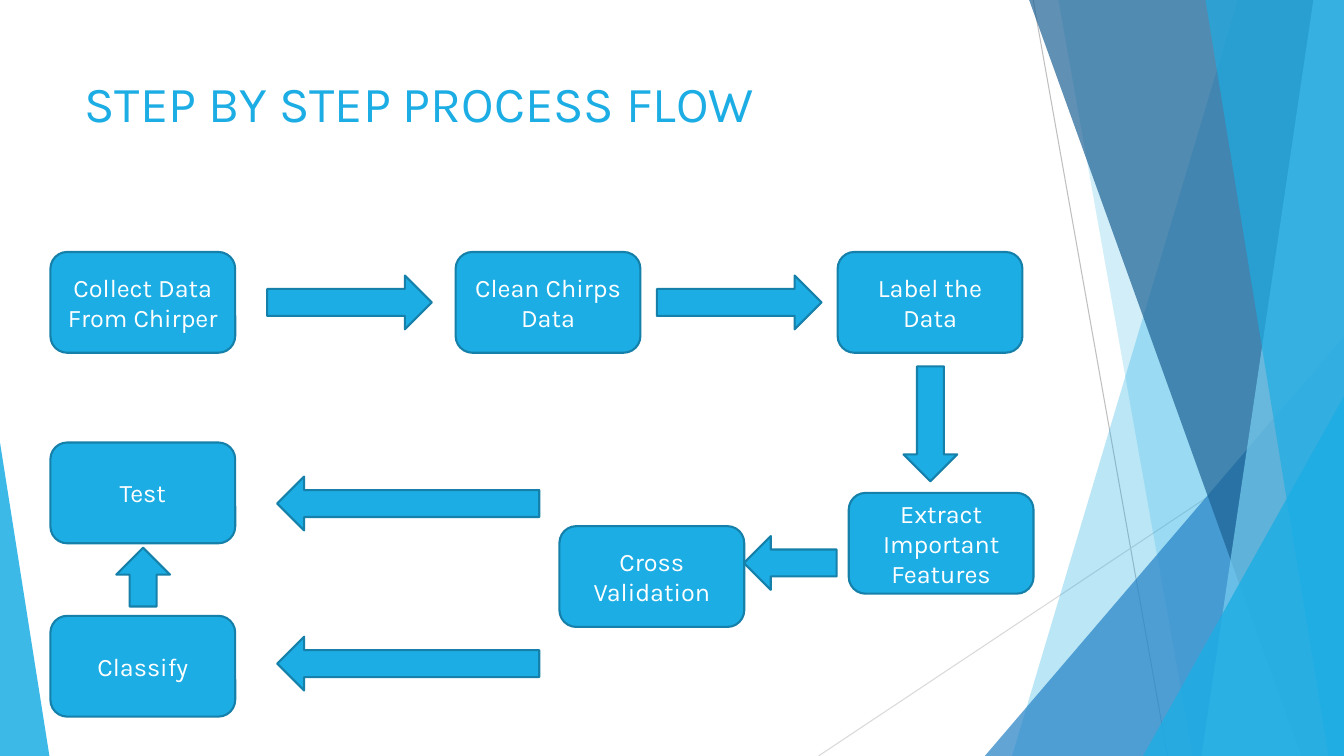
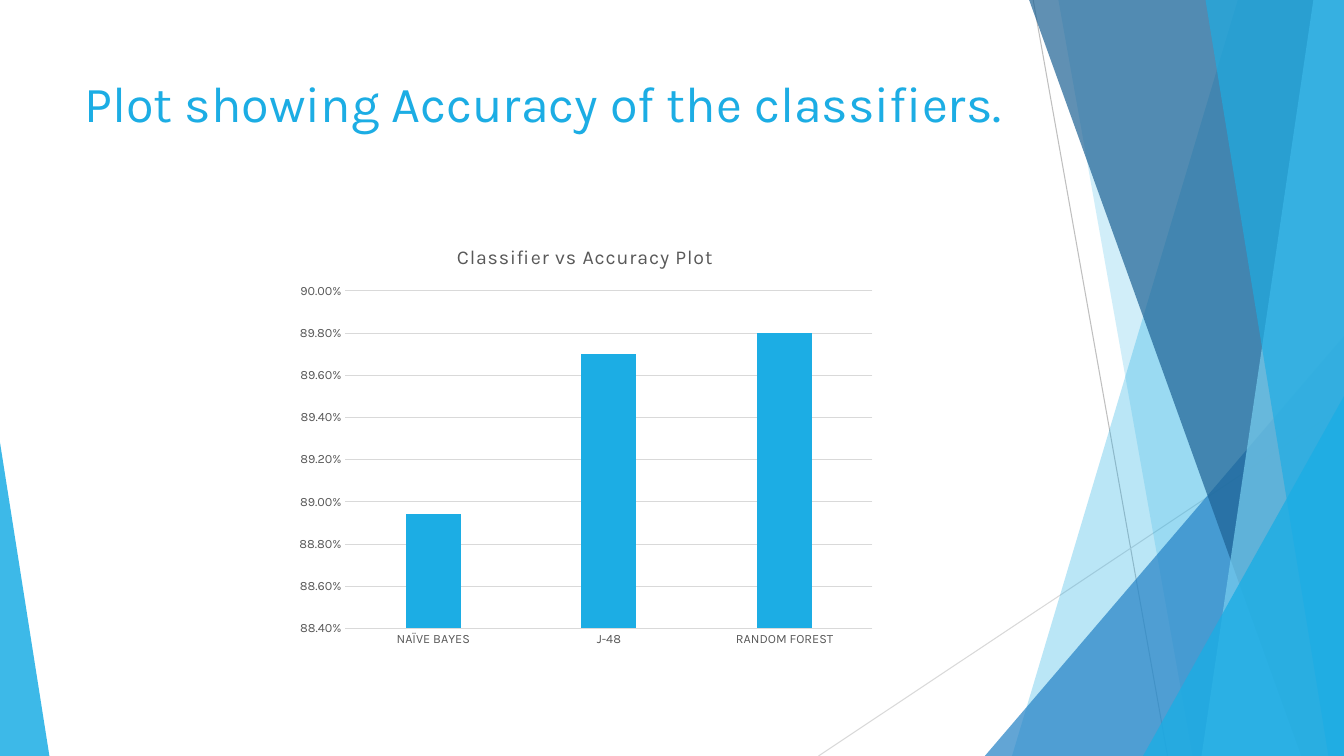
from dataclasses import dataclass

from lxml import etree
from pptx import Presentation
from pptx.chart.data import CategoryChartData
from pptx.dml.color import RGBColor
from pptx.enum.chart import XL_CHART_TYPE, XL_TICK_MARK
from pptx.enum.shapes import MSO_CONNECTOR, MSO_SHAPE
from pptx.enum.text import MSO_ANCHOR, PP_ALIGN
from pptx.oxml import parse_xml
from pptx.oxml.ns import nsdecls, qn
from pptx.util import Emu, Inches, Pt

# Grid: 80 columns by 45 rows of square cells, a sixth of an inch each
COLUMNS, ROWS = 80, 45
CELL = Inches(1) // 6

FONT = "Karla"
COLORS = {
    "accent": "1CADE4",
    "outline": "1580A9",
    "blue": "2683C6",
    "navy": "1D6294",
    "sky": "77CEEF",
    "gray": "BFBFBF",
    "pale": "D9D9D9",
    "text": "595959",
    "white": "FFFFFF",
}


@dataclass(frozen=True)
class Ray:
    start: tuple[float, float]
    end: tuple[float, float]
    color: str


@dataclass(frozen=True)
class Band:
    """Full-height facet from a slanted left edge to the right slide edge."""
    top_column: float
    bottom_column: float
    color: str
    opacity: int


@dataclass(frozen=True)
class Corner:
    """Right triangle that stands on the bottom slide edge."""
    left: float
    right: float
    top: float
    apex: int
    color: str
    opacity: int


@dataclass(frozen=True)
class Step:
    label: str
    column: float
    row: float


@dataclass(frozen=True)
class Arrow:
    """Block arrow given by its center, length and turn."""
    column: float
    row: float
    length: float
    angle: int = 0


RAYS = [
    Ray((61.5, 0), (69.5, ROWS), "gray"),
    Ray((COLUMNS, 24.18), (48.72, ROWS), "pale"),
]
FACETS = [
    Band(73.68, 60.24, "accent", 30),
    Band(63, 71, "accent", 20),
    Corner(58.62, COLUMNS, 20, 1, "blue", 72),
    Band(61.26, 77.46, "navy", 70),
    Band(78.18, 71.52, "sky", 70),
    Band(71.76, 79.08, "accent", 65),
    Corner(68.04, COLUMNS, 23.58, 1, "accent", 80),
    Corner(0, 2.94, 26.34, 0, "accent", 85),
]

STEP_WIDTH, STEP_HEIGHT = 11, 6
ARROW_THICKNESS = 3.2
STEPS = [
    Step("Collect Data From Chirper", 3, 15),
    Step("Clean Chirps Data", 27.12, 15),
    Step("Label the Data", 49.86, 15),
    Step("Extract Important Features", 50.52, 29.34),
    Step("Cross Validation", 33.3, 31.32),
    Step("Test", 3, 26.34),
    Step("Classify", 3, 36.66),
]
ARROWS = [
    Arrow(20.8, 18, 9.8),
    Arrow(44, 18, 9.8),
    Arrow(55.38, 25.23, 6.84, 90),
    Arrow(47.04, 33.51, 5.52, 180),
    Arrow(24.3, 29.97, 15.6, 180),
    Arrow(24.3, 39.5, 15.6, 180),
    Arrow(8.52, 34.35, 3.5, 270),
]
ACCURACY = {"NAÏVE BAYES": 0.8894, "J-48": 0.897, "RANDOM FOREST": 0.898}


def cells(count: float) -> Emu:
    return Emu(round(count * CELL))


def rgb(name: str) -> RGBColor:
    return RGBColor.from_string(COLORS[name])


def style_font(font, size: float, color: str) -> None:
    font.name, font.size, font.bold = FONT, Pt(size), False
    font.color.rgb = rgb(color)


def paint(shape, color: str, opacity: int = 100, outline: str | None = None) -> None:
    shape.shadow.inherit = False
    shape.fill.solid()
    shape.fill.fore_color.rgb = rgb(color)
    if opacity < 100:
        tint = shape.fill._xPr.find(qn("a:solidFill"))[0]
        etree.SubElement(tint, qn("a:alpha")).set("val", str(opacity * 1000))
    if outline:
        shape.line.color.rgb = rgb(outline)
        shape.line.width = Pt(1.5)
    else:
        shape.line.fill.background()


def add_preset(page, kind, left: float, top: float, width: float, height: float):
    return page.shapes.add_shape(kind, *map(cells, (left, top, width, height)))


# Shared backdrop and title
def add_ray(page, ray: Ray) -> None:
    line = page.shapes.add_connector(
        MSO_CONNECTOR.STRAIGHT, *map(cells, ray.start + ray.end))
    line.line.color.rgb = rgb(ray.color)
    line.line.width = Pt(0.75)
    etree.SubElement(line._element.spPr, qn("a:effectLst"))


def add_facet(page, facet: Band | Corner) -> None:
    if isinstance(facet, Band):
        builder = page.shapes.build_freeform(cells(facet.top_column), 0)
        corners = [(COLUMNS, 0), (COLUMNS, ROWS), (facet.bottom_column, ROWS)]
        builder.add_line_segments([(cells(x), cells(y)) for x, y in corners])
        shape = builder.convert_to_shape()
    else:
        shape = add_preset(page, MSO_SHAPE.ISOSCELES_TRIANGLE, facet.left, facet.top,
                           facet.right - facet.left, ROWS - facet.top)
        shape.adjustments[0] = facet.apex
    paint(shape, facet.color, facet.opacity)


def add_page(deck, title: str):
    page = deck.slides.add_slide(deck.slide_layouts[6])
    for ray in RAYS:
        add_ray(page, ray)
    for facet in FACETS:
        add_facet(page, facet)
    box = page.shapes.add_textbox(*map(cells, (4.44, 4, 56.4, 8.64)))
    box.text_frame.word_wrap = True
    para = box.text_frame.paragraphs[0]
    para.text = title
    style_font(para.font, 36, "accent")
    return page


# Process flow
def add_step(page, step: Step) -> None:
    shape = add_preset(page, MSO_SHAPE.ROUNDED_RECTANGLE,
                       step.column, step.row, STEP_WIDTH, STEP_HEIGHT)
    paint(shape, "accent", outline="outline")
    frame = shape.text_frame
    frame.word_wrap = True
    frame.vertical_anchor = MSO_ANCHOR.MIDDLE
    para = frame.paragraphs[0]
    para.text = step.label
    para.alignment = PP_ALIGN.CENTER
    style_font(para.font, 18, "white")


def add_arrow(page, arrow: Arrow) -> None:
    shape = add_preset(page, MSO_SHAPE.RIGHT_ARROW,
                       arrow.column - arrow.length / 2,
                       arrow.row - ARROW_THICKNESS / 2,
                       arrow.length, ARROW_THICKNESS)
    shape.rotation = arrow.angle
    paint(shape, "accent", outline="outline")


# Accuracy chart
def place_plot(chart, left: float, top: float, width: float, height: float) -> None:
    """Fix the inner plot area, in shares of the chart's size."""
    area = chart._chartSpace.chart.plotArea
    for old in area.findall(qn("c:layout")):
        area.remove(old)
    sizes = "".join(f'<c:{tag} val="{value}"/>' for tag, value in
                    zip("xywh", (left, top, width, height)))
    area.insert(0, parse_xml(
        f'<c:layout {nsdecls("c")}><c:manualLayout><c:layoutTarget val="inner"/>'
        f'<c:xMode val="edge"/><c:yMode val="edge"/>{sizes}'
        f'</c:manualLayout></c:layout>'))


def add_accuracy_chart(page) -> None:
    data = CategoryChartData(number_format="0.00%")
    data.categories = list(ACCURACY)
    data.add_series("Series 1", list(ACCURACY.values()))
    chart = page.shapes.add_chart(
        XL_CHART_TYPE.COLUMN_CLUSTERED,
        *map(cells, (17, 13.5, 35.64, 25.44)), data).chart
    style_font(chart.font, 9, "text")
    chart.has_legend = False
    chart.has_title = True
    para = chart.chart_title.text_frame.paragraphs[0]
    para.text = "Classifier vs Accuracy Plot"
    style_font(para.font, 14, "text")
    para.runs[0].font._element.set("spc", "50")

    plot = chart.plots[0]
    plot.vary_by_categories = False
    plot.gap_width, plot.overlap = 219, -27
    bars = plot.series[0].format.fill
    bars.solid()
    bars.fore_color.rgb = rgb("accent")

    values = chart.value_axis
    values.minimum_scale, values.maximum_scale, values.major_unit = 0.884, 0.9, 0.002
    values.tick_labels.number_format = "0.00%"
    values.tick_labels.number_format_is_linked = False
    values.format.line.fill.background()
    for axis in (values, chart.category_axis):
        axis.major_tick_mark = axis.minor_tick_mark = XL_TICK_MARK.NONE
        style_font(axis.tick_labels.font, 9, "text")
    for line in (values.major_gridlines.format.line, chart.category_axis.format.line):
        line.color.rgb = rgb("pale")
        line.width = Pt(0.75)
    place_plot(chart, 0.1, 0.15, 0.88, 0.79)


def main() -> None:
    deck = Presentation()
    deck.slide_width, deck.slide_height = cells(COLUMNS), cells(ROWS)

    flow = add_page(deck, "STEP BY STEP PROCESS FLOW")
    for step in STEPS:
        add_step(flow, step)
    for arrow in ARROWS:
        add_arrow(flow, arrow)

    add_accuracy_chart(add_page(deck, "Plot showing Accuracy of the classifiers."))
    deck.save("out.pptx")


if __name__ == "__main__":
    main()
